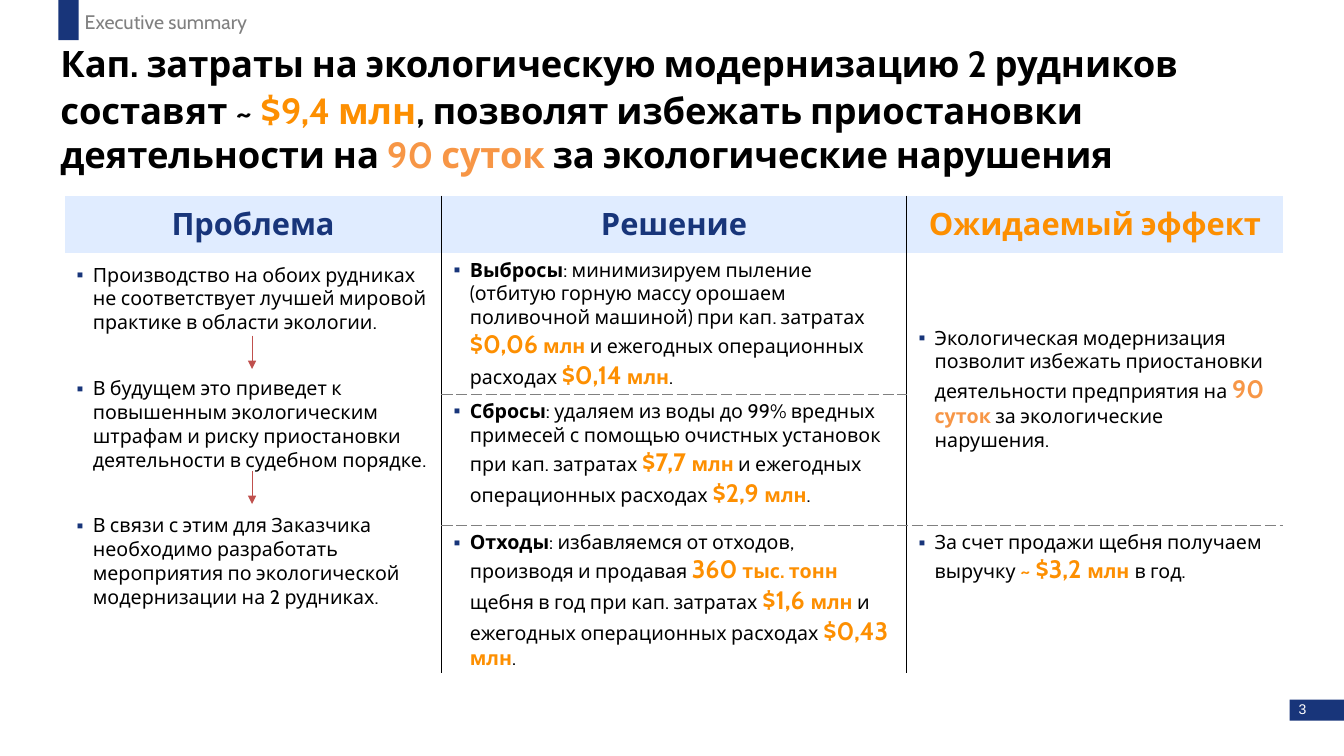
import pptx
import pptx.util
import pptx.dml.color
import pptx.enum.shapes
import pptx.enum.text
import pptx.oxml.ns
from lxml import etree

Inches = pptx.util.Inches
Pt = pptx.util.Pt
RGB = pptx.dml.color.RGBColor.from_string
ALIGN = pptx.enum.text.PP_ALIGN
ANCHOR = pptx.enum.text.MSO_ANCHOR
qn = pptx.oxml.ns.qn

COLORS = {
    "navy": "18357A", "band": "E0ECFF", "amber": "FD8F01", "orange": "F79646",
    "black": "000000", "gray": "808080", "red": "C0504D", "white": "FFFFFF",
}
STYLES = {
    "title": (26, "black", True), "title_sign": (28, "amber", True),
    "title_sum": (26, "amber", True), "title_days": (26, "orange", True),
    "label": (14, "gray", False), "page": (10, "white", False),
    "head": (22, "navy", True), "head_effect": (22, "amber", True),
    "body": (14, "black", False), "topic": (14, "black", True),
    "sum": (18, "amber", True), "gap": (16, "amber", True), "unit": (14, "amber", True),
    "days": (18, "orange", True), "days_unit": (14, "orange", True),
}


def write(paragraph, runs, font="Cabin"):
    for text, style in runs:
        run = paragraph.add_run()
        run.text = text
        size, color, run.font.bold = STYLES[style]
        run.font.size = Pt(size)
        run.font.name = font
        run.font.color.rgb = RGB(COLORS[color])
        if style in ("title", "title_sum", "title_days"):
            run._r.get_or_add_rPr().set("spc", "-10")


def add_border(cell, side, color, dash):
    line = etree.SubElement(cell._tc.get_or_add_tcPr(), qn("a:ln" + side), w=str(Pt(0.25)))
    if color is None:
        etree.SubElement(line, qn("a:noFill"))
        return
    fill = etree.SubElement(line, qn("a:solidFill"))
    etree.SubElement(fill, qn("a:srgbClr"), val=COLORS[color])
    etree.SubElement(line, qn("a:prstDash"), val=dash)


deck = pptx.Presentation()
deck.slide_width = Inches(13.33)
deck.slide_height = Inches(7.5)
slide = deck.slides.add_slide(deck.slide_layouts[6])

for left, top, width, height in [(12.79, 6.94, 0.54, 0.21), (0.58, 0, 0.2, 0.4)]:
    marker = slide.shapes.add_shape(
        pptx.enum.shapes.MSO_SHAPE.RECTANGLE,
        Inches(left), Inches(top), Inches(width), Inches(height))
    marker.shadow.inherit = False
    marker.fill.solid()
    marker.fill.fore_color.rgb = RGB(COLORS["navy"])
    marker.line.fill.background()

title_runs = [
    ("Кап. затраты на экологическую модернизацию 2 рудников составят ~ ", "title"),
    ("$", "title_sign"), ("9,4 млн", "title_sum"),
    (", позволят избежать приостановки деятельности на ", "title"),
    ("90 суток", "title_days"), (" за экологические нарушения", "title"),
]
captions = [
    (0.6, 0.4, 11.86, 1.36, "Cabin", title_runs),
    (0.84, 0.09, 11.86, 0.25, "Cabin", [("Executive summary", "label")]),
    (12.88, 6.94, 0.25, 0.19, "Arial", [("3", "page")]),
]
for left, top, width, height, font, runs in captions:
    caption = slide.shapes.add_textbox(Inches(left), Inches(top), Inches(width), Inches(height))
    frame = caption.text_frame
    frame.word_wrap = True
    frame.margin_left = frame.margin_right = frame.margin_bottom = 0
    frame.margin_top = Inches(0.01)
    write(frame.paragraphs[0], runs, font)

summary = slide.shapes.add_table(
    4, 3, Inches(0.64), Inches(1.94), Inches(12.09), Inches(4.51)).table
summary.first_row = summary.horz_banding = False
for column, width in zip(summary.columns, (3.74, 4.61, 3.74)):
    column.width = Inches(width)
for row, height in zip(summary.rows, (0.57, 1.3, 1.3, 1.34)):
    row.height = Inches(height)
summary.cell(1, 0).merge(summary.cell(3, 0))
summary.cell(1, 2).merge(summary.cell(2, 2))

dashed_below = {(1, 1), (2, 1), (1, 2), (2, 2)}
for r in range(4):
    for c in range(3):
        cell = summary.cell(r, c)
        dashed_above = (r - 1, c) in dashed_below and not cell.is_spanned
        add_border(cell, "L", "black" if c > 0 else None, "solid")
        add_border(cell, "R", "black" if c < 2 else None, "solid")
        add_border(cell, "T", "gray" if dashed_above else None, "lgDash")
        add_border(cell, "B", "gray" if (r, c) in dashed_below else None, "lgDash")
        if r == 0:
            cell.fill.solid()
            cell.fill.fore_color.rgb = RGB(COLORS["band"])
        else:
            cell.fill.background()

headings = [("Проблема", "head"), ("Решение", "head"), ("Ожидаемый эффект", "head_effect")]
for c, heading in enumerate(headings):
    cell = summary.cell(0, c)
    cell.vertical_anchor = ANCHOR.MIDDLE
    cell.text_frame.paragraphs[0].alignment = ALIGN.CENTER
    write(cell.text_frame.paragraphs[0], [heading])

operating = " и ежегодных операционных расходах "
findings = {
    (1, 0): [
        [("Производство на обоих рудниках не соответствует лучшей мировой практике "
          "в области экологии.", "body")],
        [("В будущем это приведет к повышенным экологическим штрафам и риску "
          "приостановки деятельности в судебном порядке.", "body")],
        [("В связи с этим для Заказчика необходимо разработать мероприятия по "
          "экологической модернизации на 2 рудниках.", "body")],
    ],
    (1, 1): [[
        ("Выбросы", "topic"),
        (": минимизируем пыление (отбитую горную массу орошаем поливочной машиной) "
         "при кап. затратах ", "body"),
        ("$0,06", "sum"), (" ", "gap"), ("млн", "unit"), (operating, "body"),
        ("$0,14", "sum"), (" ", "gap"), ("млн", "unit"), (".", "body"),
    ]],
    (2, 1): [[
        ("Сбросы", "topic"),
        (": удаляем из воды до 99% вредных примесей с помощью очистных установок "
         "при кап. затратах ", "body"),
        ("$7,7 ", "sum"), ("млн", "unit"), (operating, "body"),
        ("$2,9 ", "sum"), ("млн", "unit"), (".", "body"),
    ]],
    (3, 1): [[
        ("Отходы", "topic"), (": избавляемся от отходов, производя и продавая ", "body"),
        ("360", "sum"), (" ", "gap"), ("тыс. тонн ", "unit"),
        ("щебня в год при кап. затратах ", "body"),
        ("$1,6 ", "sum"), ("млн", "unit"), (operating, "body"),
        ("$0,43 ", "sum"), ("млн", "unit"), (".", "body"),
    ]],
    (1, 2): [[
        ("Экологическая модернизация позволит избежать приостановки деятельности "
         "предприятия на ", "body"),
        ("90", "days"), (" ", "body"), ("суток", "days_unit"),
        (" за экологические нарушения.", "body"),
    ]],
    (3, 2): [[
        ("За счет продажи щебня получаем выручку ", "body"), ("~ ", "gap"),
        ("$3,2 ", "sum"), ("млн", "unit"), (" ", "gap"), ("в год.", "body"),
    ]],
}
for (r, c), points in findings.items():
    cell = summary.cell(r, c)
    frame = cell.text_frame
    for i, runs in enumerate(points):
        point = frame.paragraphs[0] if i == 0 else frame.add_paragraph()
        props = point._p.get_or_add_pPr()
        props.set("marL", str(Inches(0.18)))
        props.set("indent", str(Inches(-0.16)))
        bullet_color = etree.SubElement(props, qn("a:buClr"))
        etree.SubElement(bullet_color, qn("a:srgbClr"), val=COLORS["navy"])
        etree.SubElement(props, qn("a:buFont"), typeface="Arial")
        etree.SubElement(props, qn("a:buChar"), char="▪")
        if i > 0:
            point.space_before = Pt(30)
        write(point, runs)
summary.cell(1, 0).margin_top = Inches(0.1)
summary.cell(1, 2).vertical_anchor = ANCHOR.MIDDLE

for top in (3.33, 4.67):
    arrow = slide.shapes.add_connector(
        pptx.enum.shapes.MSO_CONNECTOR.STRAIGHT,
        Inches(2.5), Inches(top), Inches(2.5), Inches(top + 0.33))
    arrow.line.color.rgb = RGB(COLORS["red"])
    arrow.line.width = Pt(0.75)
    etree.SubElement(arrow.line._get_or_add_ln(), qn("a:tailEnd"), type="triangle")
    etree.SubElement(arrow._element.spPr, qn("a:effectLst"))

deck.save("out.pptx")
